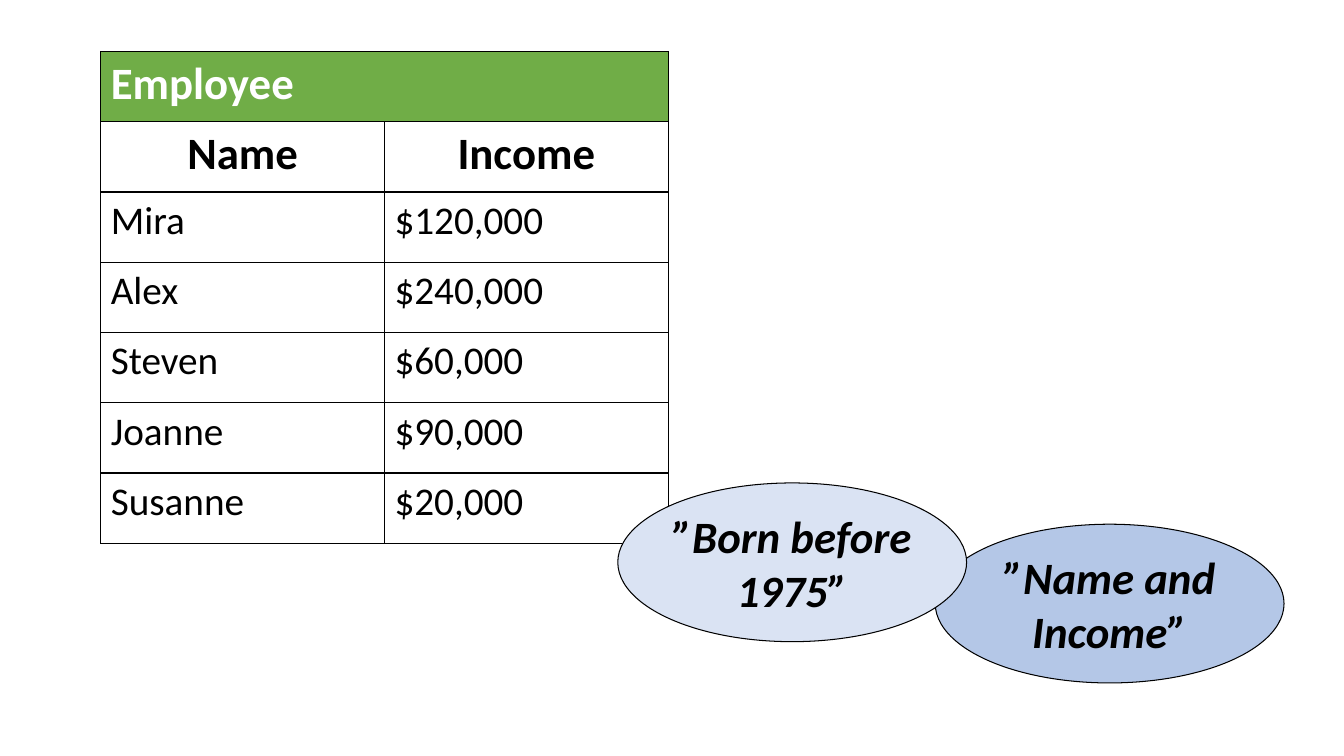
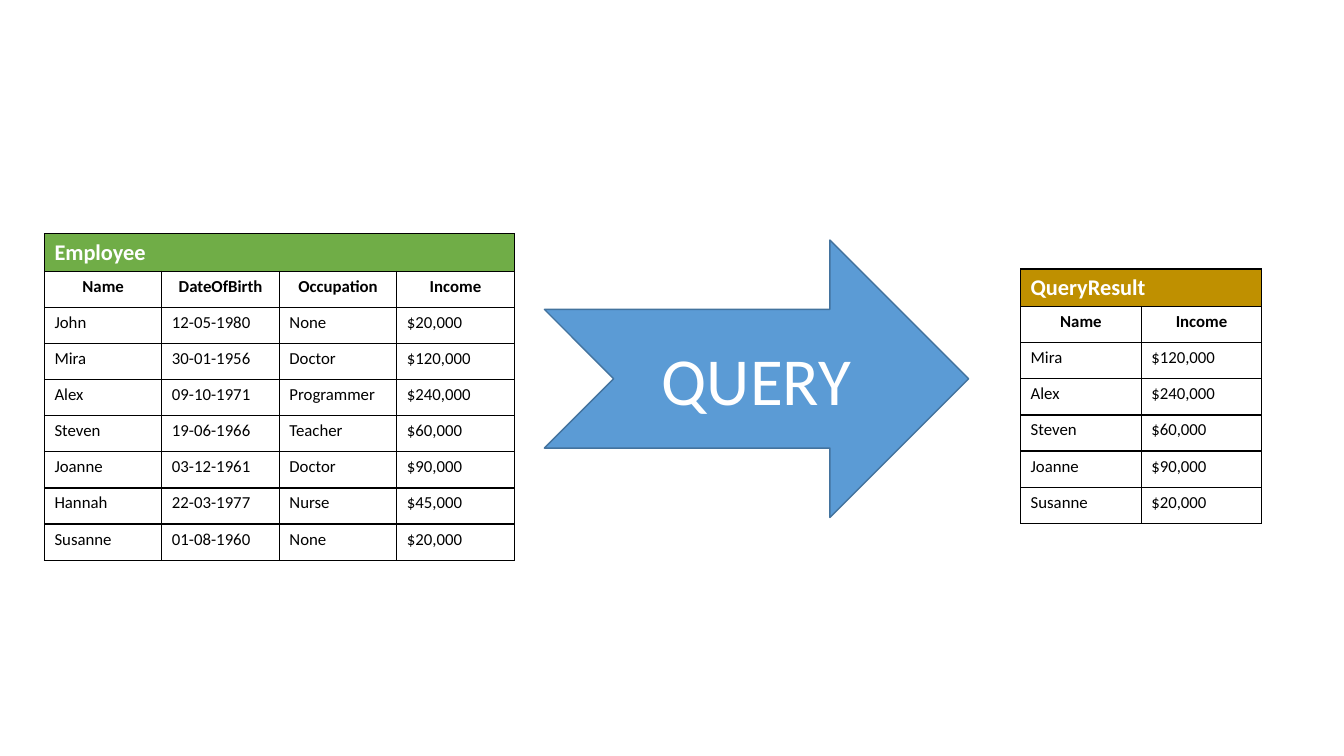
from pptx import Presentation
from pptx.dml.color import RGBColor as RGB
from pptx.enum.shapes import MSO_SHAPE as Shape
from pptx.enum.text import MSO_ANCHOR as Anchor, PP_ALIGN as Align
from pptx.oxml import parse_xml
from pptx.oxml.ns import nsdecls
from pptx.util import Cm, Pt


class Theme:
    font = "Calibri"
    ink = RGB.from_string("000000")
    white = RGB.from_string("FFFFFF")
    green = RGB.from_string("70AD47")
    gold = RGB.from_string("BF9000")
    blue = RGB.from_string("5B9BD5")
    edge = RGB.from_string("43739E")
    mist = RGB.from_string("DAE3F3")
    sky = RGB.from_string("B4C7E7")
    large = (32, 32, 28)  # band, head and body sizes of a table
    small = (16, 12, 12)
    note = 32
    arrow = 48


# Data: the result holds name and income of those born before 1975
head = ("Name", "DateOfBirth", "Occupation", "Income")
staff = [
    ("John", "12-05-1980", "None", "$20,000"),
    ("Mira", "30-01-1956", "Doctor", "$120,000"),
    ("Alex", "09-10-1971", "Programmer", "$240,000"),
    ("Steven", "19-06-1966", "Teacher", "$60,000"),
    ("Joanne", "03-12-1961", "Doctor", "$90,000"),
    ("Hannah", "22-03-1977", "Nurse", "$45,000"),
    ("Susanne", "01-08-1960", "None", "$20,000"),
]
found = [(name, pay) for name, born, _, pay in staff if int(born[-4:]) < 1975]
full = [head] + staff
brief = [(head[0], head[-1])] + found


def add_grid(slide, title, rows, left, top, wide, high, sizes, band):
    """Draw a titled table with columns and rows of equal size."""
    count = len(rows[0])
    grid = slide.shapes.add_table(
        len(rows) + 1, count, Cm(left), Cm(top),
        Cm(wide * count), Cm(high * (len(rows) + 1))).table
    for y, row in enumerate([(title,) + ("",) * (count - 1)] + rows):
        for x, text in enumerate(row):
            cell = grid.cell(y, x)
            props = cell._tc.get_or_add_tcPr()
            for side in ("lnL", "lnR", "lnT", "lnB"):
                props.append(parse_xml(
                    f'<a:{side} {nsdecls("a")} w="{Pt(1)}"><a:solidFill>'
                    f'<a:srgbClr val="{Theme.ink}"/></a:solidFill></a:{side}>'))
            if y == 0:
                cell.fill.solid()
                cell.fill.fore_color.rgb = band
            else:
                cell.fill.background()
            para = cell.text_frame.paragraphs[0]
            para.alignment = Align.CENTER if y == 1 else Align.LEFT
            para.font.name = Theme.font
            para.font.size = Pt(sizes[min(y, 2)])
            para.font.bold = y < 2
            para.font.color.rgb = Theme.ink if y else Theme.white
            if text:
                para.add_run().text = text
    grid.cell(0, 0).merge(grid.cell(0, count - 1))


def add_label(slide, kind, box, lines, size, ink, fill, edge, width):
    """Draw a filled shape with centred lines of text."""
    shape = slide.shapes.add_shape(kind, *(Cm(n) for n in box))
    shape.shadow.inherit = False
    shape.fill.solid()
    shape.fill.fore_color.rgb = fill
    shape.line.color.rgb = edge
    shape.line.width = Pt(width)
    frame = shape.text_frame
    frame.text = "\n".join(lines)
    frame.word_wrap = False
    frame.vertical_anchor = Anchor.MIDDLE
    for para in frame.paragraphs:
        para.alignment = Align.CENTER
        para.font.name = Theme.font
        para.font.size = Pt(size)
        para.font.color.rgb = ink
    return shape


deck = Presentation()
deck.slide_width, deck.slide_height = Cm(33.87), Cm(19.05)
blank = deck.slide_layouts[6]

# Slide 1: the chosen rows and the two conditions
slide = deck.slides.add_slide(blank)
add_grid(slide, "Employee", brief, 2.54, 1.3, 7.15, 1.77,
         Theme.large, Theme.green)
for left, top, fill, lines in (
        (23.57, 13.21, Theme.sky, ("”Name and", "Income”")),
        (15.57, 12.17, Theme.mist, ("”Born before", "1975”"))):
    note = add_label(slide, Shape.OVAL, (left, top, 8.79, 4), lines,
                     Theme.note, Theme.ink, fill, Theme.ink, 0.75)
    for para in note.text_frame.paragraphs:
        para.font.bold = para.font.italic = True

# Slide 2: from the full table through the query to its result
slide = deck.slides.add_slide(blank)
add_grid(slide, "Employee", full, 1.12, 5.89, 2.96, 0.91,
         Theme.small, Theme.green)
add_grid(slide, "QueryResult", brief, 25.72, 6.78, 3.04, 0.91,
         Theme.small, Theme.gold)
add_label(slide, Shape.NOTCHED_RIGHT_ARROW, (13.72, 6.05, 10.69, 6.99),
          ("QUERY",), Theme.arrow, Theme.white, Theme.blue, Theme.edge, 1)

deck.save("out.pptx")
